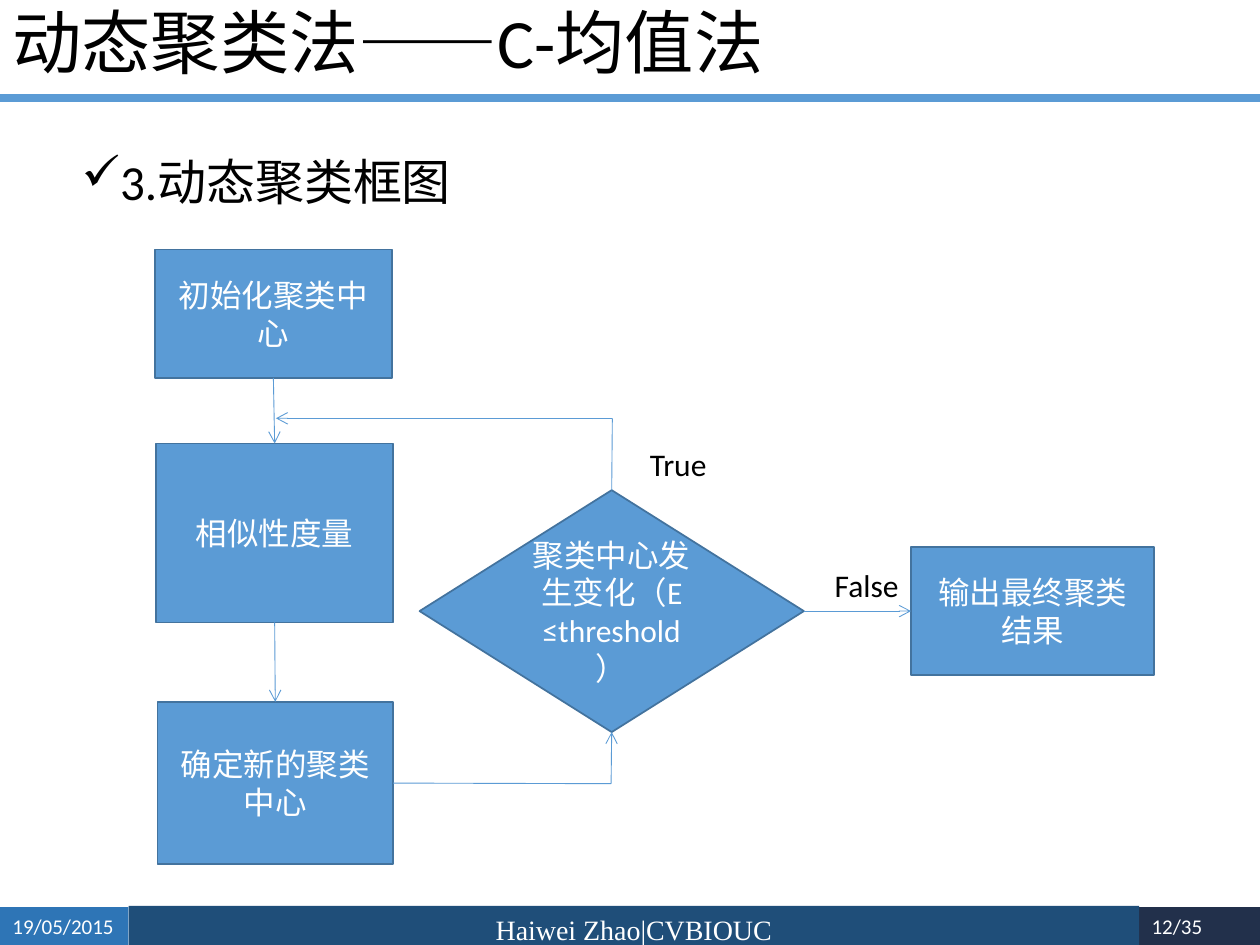
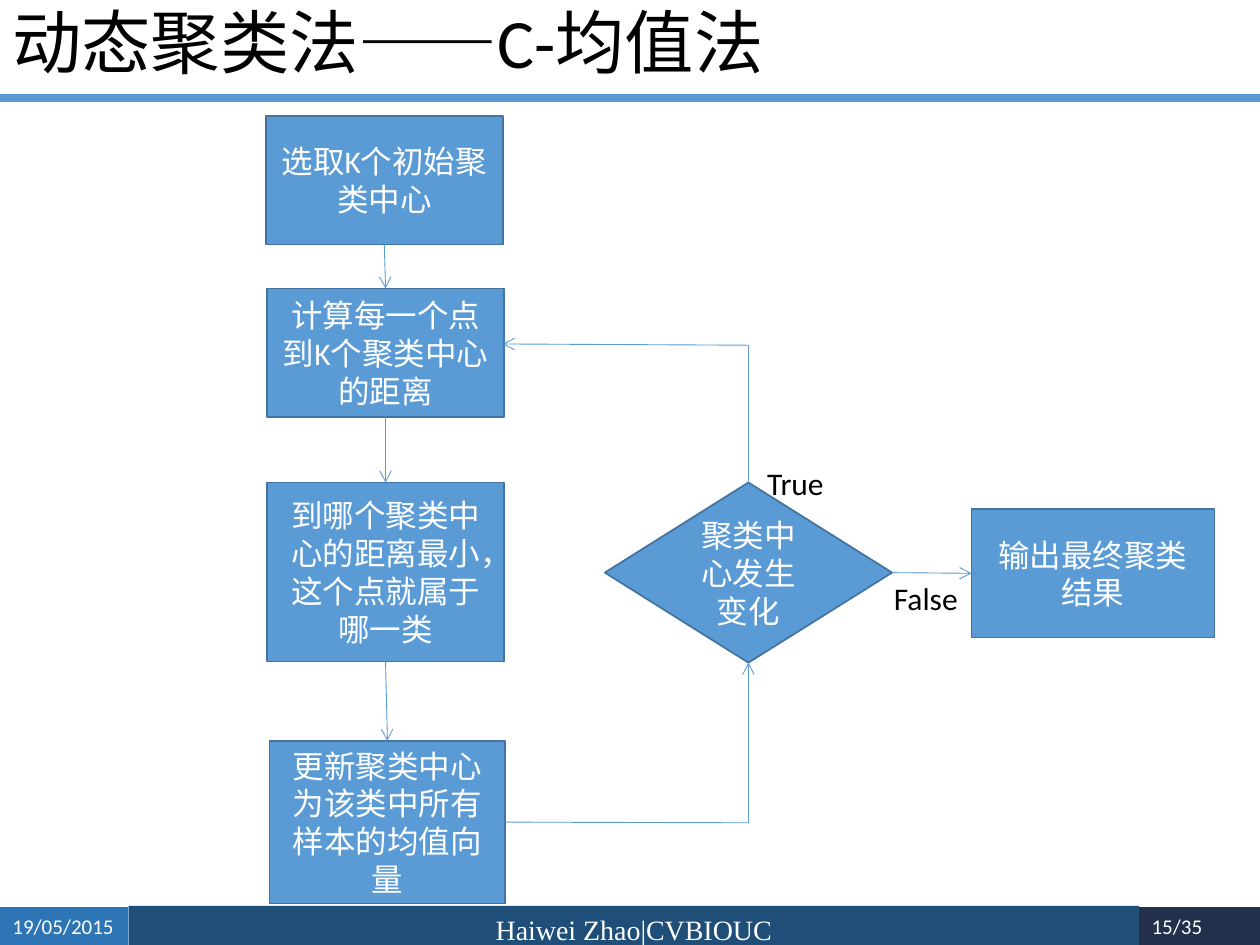
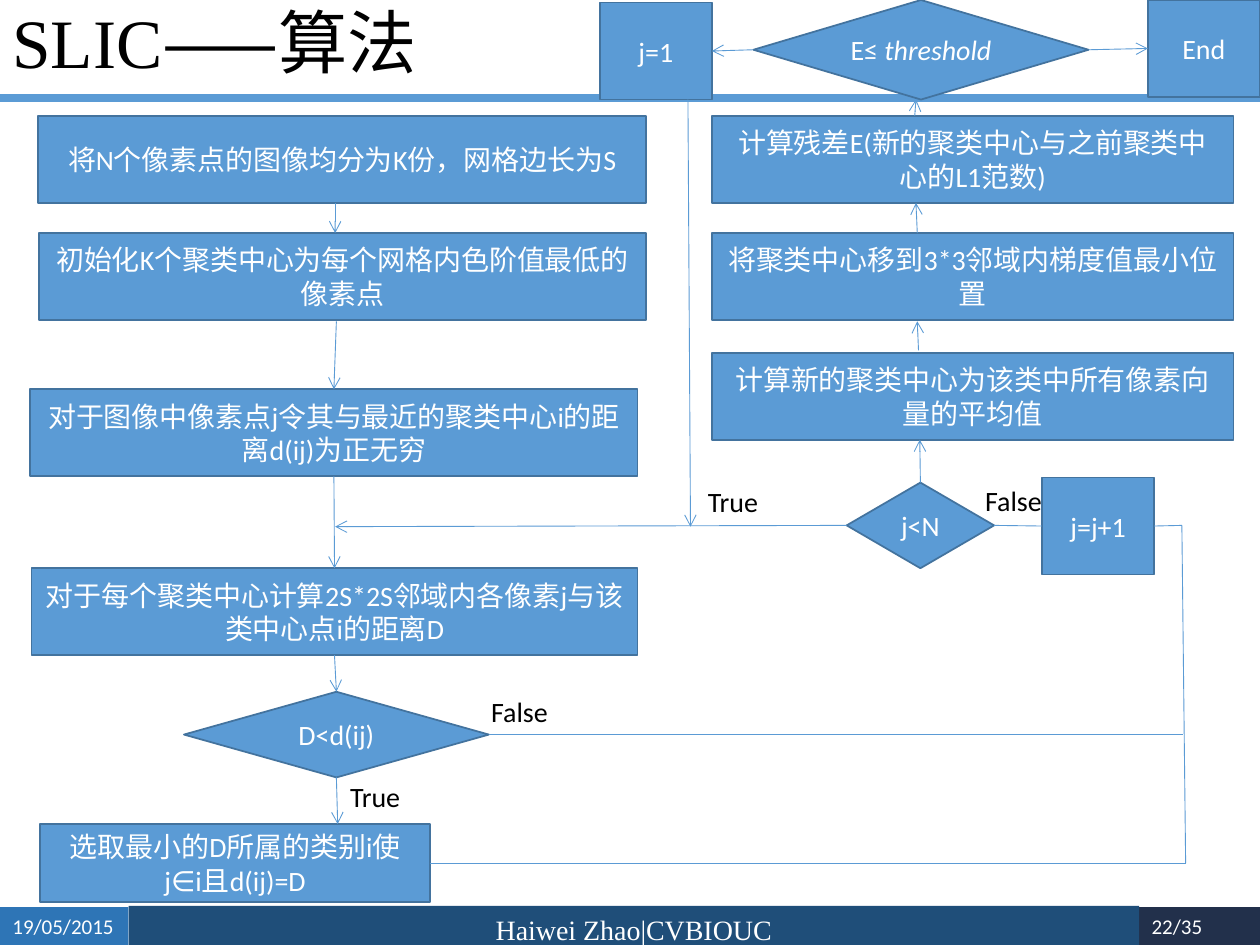
from dataclasses import dataclass

from lxml.etree import SubElement
from pptx import Presentation
from pptx.dml.color import RGBColor
from pptx.enum.shapes import MSO_CONNECTOR, MSO_SHAPE
from pptx.enum.text import MSO_ANCHOR, PP_ALIGN
from pptx.oxml.ns import qn
from pptx.shapes.autoshape import Shape
from pptx.shapes.connector import Connector
from pptx.slide import Slide
from pptx.text.text import TextFrame, _Paragraph
from pptx.util import Emu, Pt

PX = 9144
WHITE = RGBColor(0xFF, 0xFF, 0xFF)
BLACK = RGBColor(0x00, 0x00, 0x00)
BLUE = RGBColor(0x5B, 0x9B, 0xD5)
OUTLINE = RGBColor(0x43, 0x73, 0x9E)
DATE_BLUE = RGBColor(0x2E, 0x75, 0xB6)
BAND_BLUE = RGBColor(0x1F, 0x4E, 0x79)
NAVY = RGBColor(0x22, 0x30, 0x4B)

SANS = "Calibri"
SERIF = "Times New Roman"
CJK = "Noto Sans CJK SC"
RECT = MSO_SHAPE.RECTANGLE
DIAMOND = MSO_SHAPE.DIAMOND
TOP, LEFT, BOTTOM, RIGHT = range(4)


@dataclass(frozen=True)
class Box:
    left: int
    top: int
    width: int
    height: int


@dataclass(frozen=True)
class Wording:
    text: str
    font: str | None = None
    italic: bool | None = None


@dataclass(frozen=True)
class Style:
    size: float
    color: RGBColor = BLACK
    font: str = SANS
    align: PP_ALIGN = PP_ALIGN.LEFT
    anchor: MSO_ANCHOR = MSO_ANCHOR.TOP


@dataclass(frozen=True)
class Node:
    name: str
    box: Box
    wordings: tuple[Wording, ...]
    kind: MSO_SHAPE = RECT


@dataclass(frozen=True)
class Joint:
    node: str
    side: int


@dataclass(frozen=True)
class Point:
    x: int
    y: int


@dataclass(frozen=True)
class Link:
    begin: Joint | Point
    end: Joint | Point
    arrow: bool = True


@dataclass(frozen=True)
class Label:
    left: int
    top: int
    text: str
    align: PP_ALIGN = PP_ALIGN.LEFT


@dataclass(frozen=True)
class Flowchart:
    page: str
    title: tuple[Wording, ...]
    size: int
    nodes: tuple[Node, ...]
    links: tuple[Link, ...]
    labels: tuple[Label, ...]
    heading: str = ""


def px(length: int) -> Emu:
    """Turn px into EMU."""
    return Emu(length * PX)


def place(box: Box) -> tuple[Emu, Emu, Emu, Emu]:
    """Give the position and size of a box in EMU."""
    return px(box.left), px(box.top), px(box.width), px(box.height)


def write(frame: TextFrame, wordings: tuple[Wording, ...], style: Style) -> _Paragraph:
    """Fill a text frame with one styled paragraph."""
    frame.word_wrap = True
    frame.vertical_anchor = style.anchor
    paragraph = frame.paragraphs[0]
    paragraph.alignment = style.align
    paragraph.font.size = Pt(style.size)
    paragraph.font.name = style.font
    paragraph.font.color.rgb = style.color
    for wording in wordings:
        run = paragraph.add_run()
        run.text = wording.text
        if wording.font:
            run.font.name = wording.font
        if wording.italic:
            run.font.italic = True
    return paragraph


def add_text(slide: Slide, box: Box, wordings: tuple[Wording, ...], style: Style) -> _Paragraph:
    """Add a text box."""
    return write(slide.shapes.add_textbox(*place(box)).text_frame, wordings, style)


def add_filled(slide: Slide, box: Box, fill: RGBColor, kind: MSO_SHAPE = RECT) -> Shape:
    """Add a flat shape without an outline."""
    shape = slide.shapes.add_shape(kind, *place(box))
    shape.shadow.inherit = False
    shape.fill.solid()
    shape.fill.fore_color.rgb = fill
    shape.line.fill.background()
    return shape


def add_node(slide: Slide, node: Node, size: int) -> Shape:
    """Add an outlined step or decision."""
    shape = add_filled(slide, node.box, BLUE, node.kind)
    shape.line.color.rgb = OUTLINE
    shape.line.width = Pt(1)
    write(shape.text_frame, node.wordings,
          Style(size, WHITE, align=PP_ALIGN.CENTER, anchor=MSO_ANCHOR.MIDDLE))
    return shape


def add_line(slide: Slide, begin: Point, end: Point, width: float) -> Connector:
    """Add a straight blue line without a shadow."""
    connector = slide.shapes.add_connector(
        MSO_CONNECTOR.STRAIGHT, px(begin.x), px(begin.y), px(end.x), px(end.y))
    connector.line.color.rgb = BLUE
    connector.line.width = Pt(width)
    SubElement(connector._element.spPr, qn("a:effectLst"))
    return connector


def add_link(slide: Slide, link: Link, shapes: dict[str, Shape]) -> None:
    """Connect two nodes or points, with an arrowhead if wanted."""
    begin, end = (Point(0, 0) if isinstance(spot, Joint) else spot
                  for spot in (link.begin, link.end))
    connector = add_line(slide, begin, end, 0.5)
    if isinstance(link.begin, Joint):
        connector.begin_connect(shapes[link.begin.node], link.begin.side)
    if isinstance(link.end, Joint):
        connector.end_connect(shapes[link.end.node], link.end.side)
    if link.arrow:
        SubElement(connector.line._get_or_add_ln(), qn("a:tailEnd"), type="arrow")


def add_frame(slide: Slide, page: str, title: tuple[Wording, ...]) -> None:
    """Add the footer bands, the rule and the title."""
    add_filled(slide, Box(904, 720, 96, 30), NAVY)
    author = add_filled(slide, Box(102, 719, 802, 37), BAND_BLUE)
    write(author.text_frame, (Wording("Haiwei Zhao|CVBIOUC"),),
          Style(16, WHITE, SERIF, PP_ALIGN.CENTER))
    date = add_filled(slide, Box(0, 720, 102, 30), DATE_BLUE)
    write(date.text_frame, (Wording("19/05/2015"),), Style(12, WHITE))
    add_text(slide, Box(890, 720, 74, 30), (Wording(page),),
             Style(12, WHITE, align=PP_ALIGN.RIGHT))
    add_line(slide, Point(0, 78), Point(1000, 78), 4.5)
    paragraph = add_text(slide, Box(0, 0, 916, 73), title,
                         Style(39.6, anchor=MSO_ANCHOR.MIDDLE))
    paragraph.line_spacing = 0.9


def add_heading(slide: Slide, text: str) -> None:
    """Add the heading with its check mark."""
    frame = slide.shapes.add_textbox(*place(Box(55, 92, 367, 81))).text_frame
    paragraph = frame.paragraphs[0]
    properties = paragraph._p.get_or_add_pPr()
    properties.set("marL", str(px(25)))
    properties.set("indent", str(px(-25)))
    SubElement(properties, qn("a:buChar"), char="✓")
    paragraph.line_spacing = 1.5
    write(frame, (Wording(text),), Style(28))


def add_flowchart(slide: Slide, chart: Flowchart) -> None:
    """Draw one whole slide."""
    add_frame(slide, chart.page, chart.title)
    if chart.heading:
        add_heading(slide, chart.heading)
    shapes = {node.name: add_node(slide, node, chart.size) for node in chart.nodes}
    for link in chart.links:
        add_link(slide, link, shapes)
    for label in chart.labels:
        add_text(slide, Box(label.left, label.top, 84, 40), (Wording(label.text),),
                 Style(chart.size, align=label.align))


def step(name: str, left: int, top: int, width: int, height: int, text: str) -> Node:
    """Describe a rectangular step."""
    return Node(name, Box(left, top, width, height), (Wording(text),))


def decision(name: str, left: int, top: int, width: int, height: int,
             *wordings: Wording) -> Node:
    """Describe a diamond."""
    return Node(name, Box(left, top, width, height), wordings, DIAMOND)


def down(upper: str, lower: str) -> Link:
    """Describe an arrow from one node to the node below."""
    return Link(Joint(upper, BOTTOM), Joint(lower, TOP))


def across(begin: str, end: str, arrow: bool = True) -> Link:
    """Describe a link from one node to the node on its right."""
    return Link(Joint(begin, RIGHT), Joint(end, LEFT), arrow)


def turn(begin: Joint, corner: Point, end: Joint | Point) -> tuple[Link, Link]:
    """Describe an arrow that bends once."""
    return Link(begin, corner, False), Link(corner, end)


C_MEANS = (Wording("动态聚类法——C-均值法"),)

DYNAMIC = Flowchart(
    "12/35", C_MEANS, 18,
    nodes=(
        step("initialise", 123, 198, 188, 102, "初始化聚类中心"),
        step("similarity", 124, 352, 188, 142, "相似性度量"),
        step("update", 125, 557, 187, 129, "确定新的聚类中心"),
        step("output", 723, 434, 193, 102, "输出最终聚类结果"),
        decision("changed", 333, 389, 305, 192, Wording("聚类中心发生变化（E ≤threshold）")),
    ),
    links=(
        down("initialise", "similarity"),
        down("similarity", "update"),
        *turn(Joint("update", RIGHT), Point(485, 622), Joint("changed", BOTTOM)),
        *turn(Joint("changed", TOP), Point(486, 332), Point(219, 332)),
        across("changed", "output"),
    ),
    labels=(Label(506, 348, "True"), Label(639, 444, "False", PP_ALIGN.RIGHT)),
    heading="3.动态聚类框图",
)

K_CENTRES = Flowchart(
    "15/35", C_MEANS, 18,
    nodes=(
        step("choose", 211, 92, 188, 102, "选取K个初始聚类中心"),
        step("distance", 212, 229, 188, 102, "计算每一个点到K个聚类中心的距离"),
        step("assign", 212, 383, 188, 142, "到哪个聚类中心的距离最小，这个点就属于哪一类"),
        step("update", 214, 588, 187, 129, "更新聚类中心为该类中所有样本的均值向量"),
        step("output", 771, 404, 193, 102, "输出最终聚类结果"),
        decision("changed", 480, 383, 228, 143, Wording("聚类中心发生变化")),
    ),
    links=(
        down("choose", "distance"),
        down("distance", "assign"),
        down("assign", "update"),
        *turn(Joint("update", RIGHT), Point(594, 653), Joint("changed", BOTTOM)),
        *turn(Joint("changed", TOP), Point(594, 274), Point(399, 273)),
        across("changed", "output"),
    ),
    labels=(Label(599, 363, "True"), Label(686, 455, "False", PP_ALIGN.RIGHT)),
)

SLIC = Flowchart(
    "22/35", (Wording("SLIC", SERIF), Wording("——算法", CJK)), 16,
    nodes=(
        step("grid", 30, 92, 483, 69, "将N个像素点的图像均分为K份，网格边长为S"),
        step("seed", 31, 185, 482, 69, "初始化K个聚类中心为每个网格内色阶值最低的像素点"),
        step("infinity", 24, 309, 482, 69, "对于图像中像素点j令其与最近的聚类中心i的距离d(ij)为正无穷"),
        step("distance", 25, 451, 481, 69, "对于每个聚类中心计算2S*2S邻域内各像素j与该类中心点i的距离D"),
        decision("closer", 146, 549, 242, 68, Wording("D<d(ij)")),
        step("assign", 32, 654, 309, 62, "选取最小的D所属的类别i使j∈i且d(ij)=D"),
        step("next", 827, 379, 89, 77, "j=j+1"),
        decision("remaining", 672, 383, 117, 68, Wording("j<N")),
        step("mean", 565, 280, 414, 69, "计算新的聚类中心为该类中所有像素向量的平均值"),
        step("gradient", 565, 185, 414, 69, "将聚类中心移到3*3邻域内梯度值最小位置"),
        step("residual", 565, 92, 414, 69, "计算残差E(新的聚类中心与之前聚类中心的L1范数)"),
        decision("converged", 598, 0, 266, 79,
                 Wording("E≤"), Wording(" threshold", italic=True)),
        step("end", 911, 0, 89, 77, "End"),
        step("restart", 476, 2, 89, 77, "j=1"),
    ),
    links=(
        Link(Point(266, 161), Point(266, 185)),
        Link(Point(267, 255), Joint("infinity", TOP)),
        down("infinity", "distance"),
        down("distance", "closer"),
        Link(Joint("closer", BOTTOM), Point(268, 654)),
        Link(Joint("closer", RIGHT), Point(939, 583), False),
        Link(Joint("assign", RIGHT), Point(941, 685), False),
        Link(Point(941, 685), Point(938, 417), False),
        Link(Point(938, 417), Joint("next", RIGHT), False),
        across("remaining", "next", False),
        Link(Joint("remaining", LEFT), Point(266, 418)),
        Link(Joint("remaining", TOP), Point(730, 349)),
        Link(Point(729, 278), Point(728, 255)),
        Link(Point(728, 185), Point(727, 161)),
        Link(Point(726, 92), Point(727, 79)),
        across("converged", "end"),
        Link(Joint("converged", LEFT), Joint("restart", RIGHT)),
        Link(Point(546, 79), Point(548, 418)),
    ),
    labels=(
        Label(268, 614, "True"),
        Label(380, 546, "False"),
        Label(552, 380, "True"),
        Label(772, 379, "False"),
    ),
)


def main() -> None:
    """Build and save the presentation."""
    presentation = Presentation()
    presentation.slide_width = px(1000)
    presentation.slide_height = px(750)
    for chart in (DYNAMIC, K_CENTRES, SLIC):
        add_flowchart(presentation.slides.add_slide(presentation.slide_layouts[6]), chart)
    presentation.save("out.pptx")


if __name__ == "__main__":
    main()
